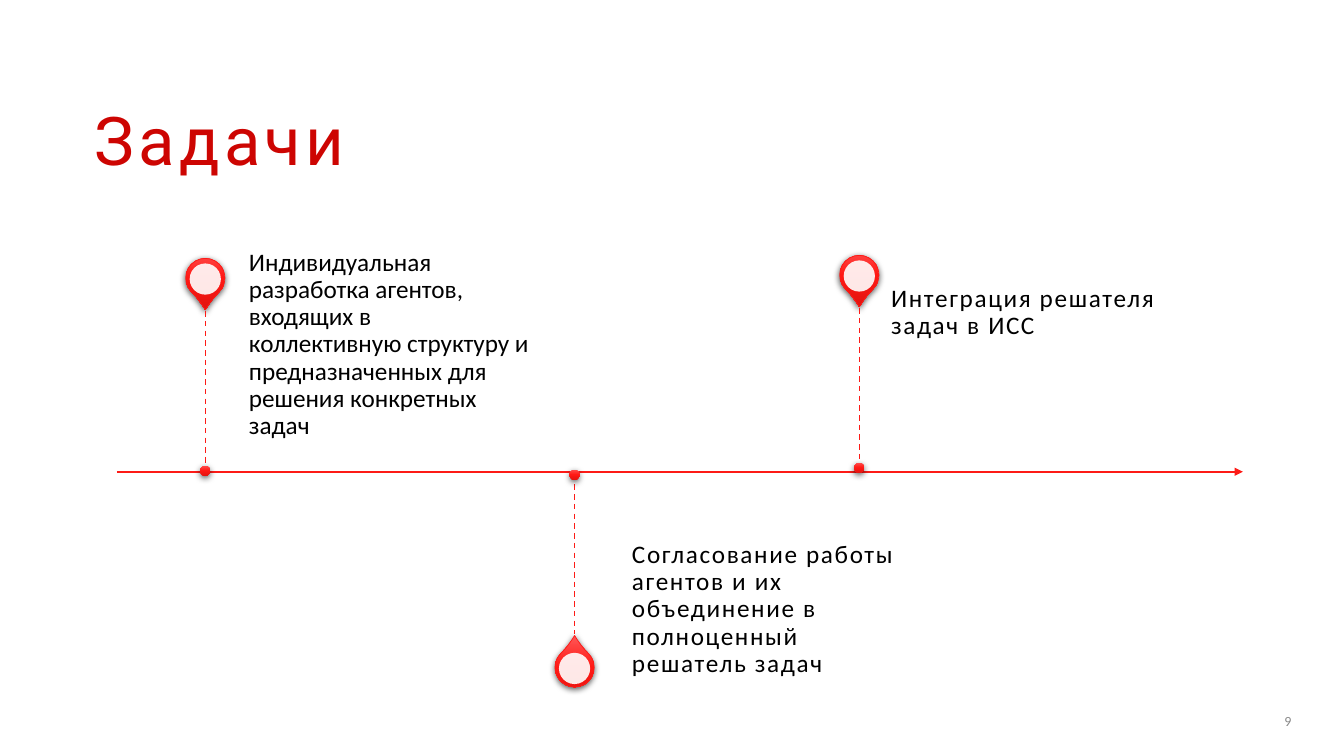
from copy import deepcopy

from lxml.etree import SubElement
from pptx import Presentation
from pptx.dml.color import RGBColor
from pptx.enum.dml import MSO_LINE_DASH_STYLE as Dash
from pptx.enum.shapes import MSO_CONNECTOR as Connector, MSO_SHAPE as Preset
from pptx.enum.text import MSO_ANCHOR as Anchor, MSO_AUTO_SIZE as AutoSize, PP_ALIGN as Align
from pptx.oxml.ns import qn
from pptx.util import Inches, Pt

COLUMNS, ROWS = 80, 45
PIN, PIN_HOLE, DOT = 2.34, 1.86, 0.6
STEM, PIN_GAP = 9.5, 1.97
AXIS_ROW = 28.08

TASKS = [
    dict(column=12.22, row=28.02, side=-1, box=(14.82, 16.14, 18.18, 8.76), inset=1.5, spacing=0,
         wording="Индивидуальная разработка агентов, входящих в коллективную структуру "
                 "и предназначенных для решения конкретных задач"),
    dict(column=34.2, row=28.26, side=1, box=(37.62, 29.7, 17.22, 13.2), inset=0.72, spacing=1.2,
         wording="Согласование работы агентов и их объединение в полноценный решатель задач"),
    dict(column=51.15, row=27.84, side=-1, box=(53.04, 14.7, 19.38, 7.8), inset=0.72, spacing=1.2,
         wording="Интеграция решателя задач в ИСС"),
]


def color(code):
    """Turn a hex string into a colour."""
    return RGBColor.from_string(code)


def assign(target, values):
    """Set each named attribute of the target."""
    for name, value in values.items():
        setattr(target, name, value)


class Timeline:
    """Draw timeline parts on a grid of square cells."""

    red = "FD1B17"
    glow = [(0, "FF4F4E"), (0.5, "FF1915"), (1, "E51410")]

    def __init__(self, deck):
        """Add a slide that has only a title."""
        self.slide = deck.slides.add_slide(deck.slide_layouts[5])
        self.shapes = self.slide.shapes
        self.cell = deck.slide_width / COLUMNS

    def grid(self, *cells):
        """Convert grid cells to slide lengths."""
        return [round(count * self.cell) for count in cells]

    def fill_text(self, holder, wording, size, ink, face="Calibri", spacing=0,
                  align=Align.LEFT, leading=0.9, insets=None):
        """Fill a text holder with one formatted paragraph."""
        frame = holder.text_frame
        assign(frame, dict(word_wrap=True, auto_size=AutoSize.NONE, vertical_anchor=Anchor.MIDDLE))
        if insets:
            sides = ("margin_left", "margin_top", "margin_right", "margin_bottom")
            assign(frame, dict(zip(sides, self.grid(*insets))))
        paragraph = frame.paragraphs[0]
        assign(paragraph, dict(alignment=align, line_spacing=leading))
        run = paragraph.add_run()
        run.text = wording
        assign(run.font, dict(size=Pt(size), name=face))
        run.font.color.rgb = color(ink)
        if spacing:
            run.font._element.set("spc", str(round(spacing * 100)))

    def title(self, wording, box, **style):
        """Place and fill the title placeholder."""
        heading = self.shapes.title
        assign(heading, dict(zip(("left", "top", "width", "height"), self.grid(*box))))
        self.fill_text(heading, wording, **style)

    def text(self, wording, box, **style):
        """Add a text box."""
        self.fill_text(self.shapes.add_textbox(*self.grid(*box)), wording, **style)

    def line(self, start, end, width, dash=None, arrow=False):
        """Add a straight red line."""
        stroke = self.shapes.add_connector(Connector.STRAIGHT, *self.grid(*start, *end))
        assign(stroke.line, dict(width=Pt(width), dash_style=dash))
        stroke.line.color.rgb = color(self.red)
        properties = stroke._element.spPr
        if arrow:
            SubElement(properties.find(qn("a:ln")), qn("a:tailEnd"), type="triangle")
        SubElement(properties, qn("a:effectLst"))

    def centered(self, preset, column, row, size):
        """Add a square preset shape around a point, without line or shadow."""
        form = self.shapes.add_shape(
            preset, *self.grid(column - size / 2, row - size / 2, size, size))
        form.shadow.inherit = False
        form.line.fill.background()
        return form

    def glowing(self, preset, column, row, size):
        """Add a shape with a red gradient and a soft shadow."""
        form = self.centered(preset, column, row, size)
        form.fill.gradient()
        form.fill.gradient_angle = 270
        properties = form._element.spPr
        gradient = properties.find(qn("a:gradFill"))
        gradient.set("rotWithShape", "0")
        stops = gradient.find(qn("a:gsLst"))
        stops.append(deepcopy(stops[0]))
        for stop, (position, code) in zip(form.fill.gradient_stops, self.glow):
            stop.position = position
            stop.color.rgb = color(code)
        shadow = SubElement(
            properties.find(qn("a:effectLst")), qn("a:outerShdw"), blurRad=str(int(Pt(4.5))),
            dist=str(int(Pt(1.5))), dir="5400000", algn="ctr", rotWithShape="0")
        black = SubElement(shadow, qn("a:srgbClr"), val="000000")
        SubElement(black, qn("a:alpha"), val="63000")
        return form

    def pin(self, column, row, side):
        """Add a map pin whose tip points to the axis."""
        drop = self.glowing(Preset.TEAR, column, row, PIN)
        drop.adjustments[0] = 1.15
        drop.rotation = 135 if side < 0 else 315
        drop.line.color.rgb = color(self.red)
        drop.line.width = Pt(0.5)
        hole = self.centered(Preset.OVAL, column, row + 0.06, PIN_HOLE)
        hole.fill.solid()
        hole.fill.fore_color.rgb = color("FFFFFF")
        white = hole._element.spPr.find(qn("a:solidFill"))[0]
        SubElement(white, qn("a:alpha"), val="90000")

    def task(self, column, row, side, box, inset, spacing, wording):
        """Add one task with its pin, wording, stem and dot."""
        tip = row + side * STEM
        self.pin(column, tip + side * PIN_GAP, side)
        self.text(wording, box, size=18, ink="000000", spacing=spacing, insets=(0, 0, inset, 0))
        self.line((column, min(row, tip)), (column, max(row, tip)), 1, Dash.DASH)
        self.glowing(Preset.OVAL, column, row, DOT)


def main():
    """Build and save the slide."""
    deck = Presentation()
    assign(deck, dict(slide_width=Inches(COLUMNS / 6), slide_height=Inches(ROWS / 6)))
    timeline = Timeline(deck)
    timeline.title("Задачи", (5.04, 5.04, 55.44, 7.08), size=48, ink="CD0502",
                   face="Roboto", spacing=3)
    timeline.line((6.96, AXIS_ROW), (73.98, AXIS_ROW), 1.5, arrow=True)
    for task in TASKS:
        timeline.task(**task)
    timeline.text("9", (67.38, 41.7, 10.08, 2.4), size=10, ink="898989",
                  align=Align.RIGHT, leading=1.0)
    deck.save("out.pptx")


if __name__ == "__main__":
    main()
